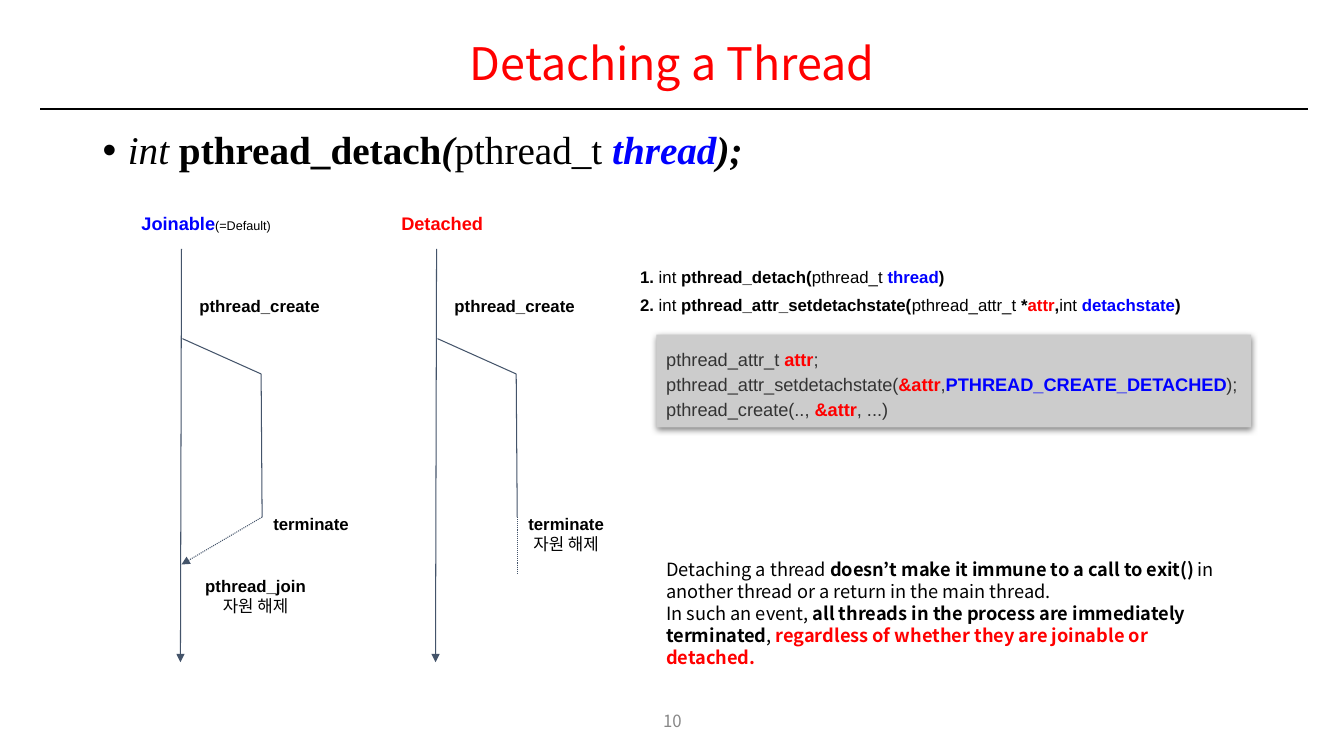
from lxml.etree import SubElement
from pptx import Presentation
from pptx.dml.color import RGBColor
from pptx.enum.dml import MSO_LINE_DASH_STYLE as DASH
from pptx.enum.shapes import MSO_CONNECTOR as CONN, MSO_SHAPE as SHAPE
from pptx.enum.text import MSO_ANCHOR as ANCHOR, PP_ALIGN as ALIGN
from pptx.oxml.ns import qn
from pptx.util import Inches, Pt

COLORS = {"black": "000000", "red": "FF0000", "blue": "0000FF", "slate": "44546A",
          "gray": "888888", "ink": "333333", "panel": "CCCCCC"}
SANS, SERIF, CJK = "Arial", "Times New Roman", "Noto Sans CJK KR"

TITLE = [[("Detaching a Thread", "red")]]
PAGE = [[("10", "gray")]]
SIGNATURE = [[("int ", "i"), ("pthread_detach", "b"), ("(", "b i"), ("pthread_t ", ""),
              ("thread", "b i blue"), (");", "b i")]]
WAYS = [
    [("1.", "b"), (" int ", ""), ("pthread_detach(", "b"), ("pthread_t ", ""),
     ("thread", "b blue"), (")", "b")],
    [("2.", "b"), (" int ", ""), ("pthread_attr_setdetachstate(", "b"),
     ("pthread_attr_t", ""), (" *", "b"), ("attr", "b red"), (",", "b"), ("int ", ""),
     ("detachstate", "b blue"), (")", "b")],
]
CODE = [
    [("pthread_attr_t ", "ink"), ("attr", "b red"), (";", "ink")],
    [("pthread_attr_setdetachstate(", "ink"), ("&attr", "b red"), (",", "ink"),
     ("PTHREAD_CREATE_DETACHED", "b blue"), (");", "ink")],
    [("pthread_create(.., ", "ink"), ("&attr", "b red"), (", ...)", "ink")],
]
NOTE = [
    [("Detaching a thread ", ""), ("doesn’t make it immune to a call to exit()", "b"),
     (" in another thread or a return in the main thread.", "")],
    [("In such an event, ", ""), ("all threads in the process are immediately", "b")],
    [("terminated", "b"), (", ", ""),
     ("regardless of whether they are joinable or detached.", "b red")],
]
CREATE, END, JOIN = [("pthread_create", "b")], [("terminate", "b")], [("pthread_join", "b")]
FREE = [("자원 해제", "cjk")]
TIMELINES = [
    {"x": 1.8, "head": [[("Joinable", "b blue"), ("(=Default)", "small")]],
     "head_box": (-0.67, 1.83), "end": [END], "join": [JOIN, FREE],
     "dots": (0, 5.6), "arrow": True},
    {"x": 4.33, "head": [[("Detached", "b red")]],
     "head_box": (-0.57, 1.25), "end": [END, FREE], "join": None,
     "dots": (0.8, 5.7), "arrow": False},
]
ROWS = {"head": 2.01, "start": 2.47, "create": 2.83, "fork": 3.36, "child": 3.71,
        "end_label": 5, "end": 5.13, "join": 5.61, "stop": 6.57}
BRANCH = 0.79
RIGHT = 6.51


def write(tf, paras, size, font=SANS, align=ALIGN.LEFT, inset=0.1, gap=0, spacing=None):
    tf.word_wrap = True
    tf.margin_left = tf.margin_right = Inches(0.1)
    tf.margin_top = tf.margin_bottom = Inches(inset)
    for n, runs in enumerate(paras):
        p = tf.paragraphs[0] if n == 0 else tf.add_paragraph()
        p.alignment = align
        p.space_before = Pt(gap if n else 0)
        if runs == FREE:
            p.line_spacing = Pt(size * 1.2)
        elif spacing:
            p.line_spacing = spacing
        for text, style in runs:
            marks = style.split()
            r = p.add_run()
            r.text = text
            r.font.name = CJK if "cjk" in marks else font
            SubElement(r.font._element, qn("a:ea"), typeface=r.font.name)
            r.font.size = Pt(9 if "small" in marks else size)
            r.font.bold = "b" in marks
            r.font.italic = "i" in marks
            color = next((m for m in marks if m in COLORS), "black")
            r.font.color.rgb = RGBColor.from_string(COLORS[color])


def add_text(slide, box, paras, size, **options):
    sp = slide.shapes.add_textbox(*map(Inches, box))
    write(sp.text_frame, paras, size, **options)
    return sp


def add_line(slide, start, end, color="slate", width=0.75, dotted=False, arrow=False):
    line = slide.shapes.add_connector(CONN.STRAIGHT, *map(Inches, start + end))
    line.line.color.rgb = RGBColor.from_string(COLORS[color])
    line.line.width = Pt(width)
    if dotted:
        line.line.dash_style = DASH.ROUND_DOT
    if arrow:
        SubElement(line.line._get_or_add_ln(), qn("a:tailEnd"), type="triangle")
    SubElement(line._element.spPr, qn("a:effectLst"))


def add_timeline(slide, t):
    x, row = t["x"], ROWS
    child = x + BRANCH
    dx, width = t["head_box"]
    add_line(slide, (x, row["start"]), (x - 0.01, row["stop"]), arrow=True)
    add_line(slide, (x + 0.01, row["fork"]), (child, row["child"]))
    add_line(slide, (child, row["child"]), (child + 0.01, row["end"]))
    dot_x, dot_y = t["dots"]
    add_line(slide, (child + 0.01, row["end"]), (x + dot_x, dot_y),
             dotted=True, arrow=t["arrow"])
    labels = [((x + dx, row["head"], width, 0.42), t["head"], 13),
              ((x - 0.01, row["create"], 1.57, 0.4), [CREATE], 12),
              ((x + 0.74, row["end_label"], 1.09, 0.2 * (1 + len(t["end"]))), t["end"], 12)]
    if t["join"]:
        labels.append(((x + 0.11, row["join"], 1.25, 0.61), t["join"], 12))
    for box, paras, size in labels:
        add_text(slide, box, paras, size, align=ALIGN.CENTER)


def add_code(slide):
    sp = slide.shapes.add_shape(SHAPE.RECTANGLE, *map(Inches, (RIGHT, 3.32, 5.9, 0.92)))
    sp.fill.solid()
    sp.fill.fore_color.rgb = RGBColor.from_string(COLORS["panel"])
    sp.line.fill.background()
    sp.shadow.inherit = False
    effects = sp._element.spPr.find(qn("a:effectLst"))
    shadow = SubElement(effects, qn("a:outerShdw"), blurRad=str(Pt(4.5)),
                        dist=str(Pt(1.5)), dir="5400000", algn="t", rotWithShape="0")
    black = SubElement(shadow, qn("a:srgbClr"), val=COLORS["black"])
    SubElement(black, qn("a:alpha"), val="50000")
    sp.text_frame.vertical_anchor = ANCHOR.TOP
    write(sp.text_frame, CODE, 13, align=ALIGN.JUSTIFY, spacing=1.15)


def add_signature(slide):
    sp = add_text(slide, (0.92, 1.25, 11.5, 0.58), SIGNATURE, 28, font=SERIF,
                  inset=0.05, spacing=0.9)
    pPr = sp.text_frame.paragraphs[0]._p.get_or_add_pPr()
    pPr.set("marL", str(Inches(0.25)))
    pPr.set("indent", str(-Inches(0.25)))
    SubElement(SubElement(pPr, qn("a:buClr")), qn("a:srgbClr"), val=COLORS["black"])
    SubElement(pPr, qn("a:buFont"), typeface=SANS)
    SubElement(pPr, qn("a:buChar"), char="•")


def main():
    prs = Presentation()
    prs.slide_width, prs.slide_height = Inches(13.33), Inches(7.5)
    slide = prs.slides.add_slide(prs.slide_layouts[5])
    title = slide.shapes.title
    title.left, title.top, title.width, title.height = map(Inches, (0.92, 0.29, 11.5, 0.73))
    title.text_frame.vertical_anchor = ANCHOR.MIDDLE
    write(title.text_frame, TITLE, 32, font=CJK, align=ALIGN.CENTER, inset=0.05, spacing=0.9)
    add_signature(slide)
    add_line(slide, (0.4, 1.08), (12.97, 1.08), color="black", width=1.5)
    page = add_text(slide, (5.17, 6.95, 3, 0.4), PAGE, 12, font=CJK,
                    align=ALIGN.CENTER, inset=0.05)
    page.text_frame.vertical_anchor = ANCHOR.MIDDLE
    for timeline in TIMELINES:
        add_timeline(slide, timeline)
    add_text(slide, (6.25, 2.55, 5.94, 0.95), WAYS, 12, gap=5)
    add_code(slide)
    add_text(slide, (RIGHT, 5.44, 5.84, 1.08), NOTE, 13, font=CJK, spacing=Pt(15.7))
    prs.save("out.pptx")


if __name__ == "__main__":
    main()
